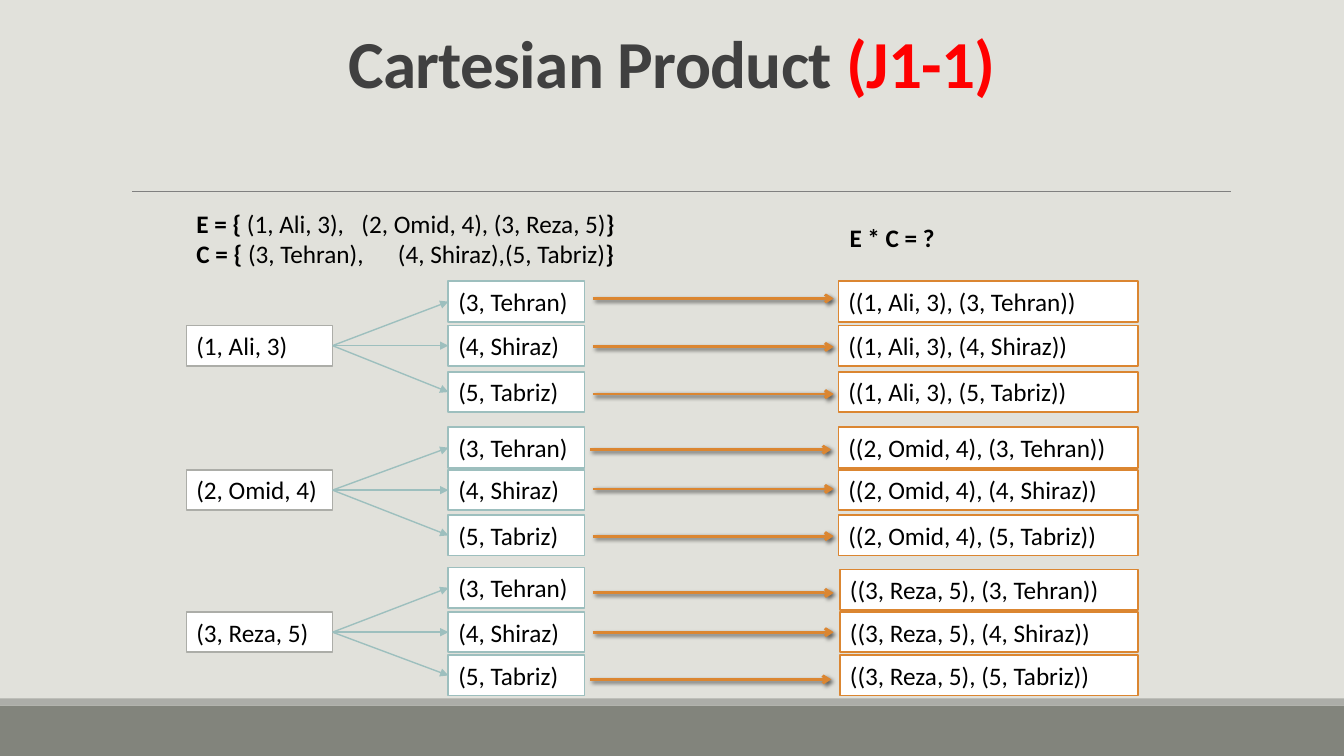
from dataclasses import dataclass

from lxml import etree
from pptx import Presentation
from pptx import util as u
from pptx.dml import color
from pptx.enum import shapes, text
from pptx.oxml import ns


@dataclass(frozen=True)
class Theme:
    """Colours, font and type sizes of the slide."""
    background: str = "E1E1DB"
    footer: str = "82847C"
    stripe: str = "ACADA8"
    rule: str = "808080"
    heading: str = "404040"
    accent: str = "FF0000"
    ink: str = "000000"
    paper: str = "FFFFFF"
    employee: str = "ACADA8"
    city: str = "9DBFBE"
    pair: str = "DB8631"
    font: str = "Calibri"
    title_size: float = 48
    body_size: float = 18


def rgb(code):
    """Turn a hex code into a colour."""
    return color.RGBColor.from_string(code)


def add_xml(parent, tag, **attributes):
    """Append a DrawingML element and return it."""
    values = {name: str(value) for name, value in attributes.items()}
    return etree.SubElement(parent, ns.qn(f"a:{tag}"), values)


def add_text(paragraph, content, *, font, size, ink, bold=False, spacing=0):
    """Add a run with its format; spacing is in points."""
    run = paragraph.add_run()
    run.text = content
    run.font.name = font
    run.font.size = u.Pt(size)
    run.font.bold = bold
    run.font.color.rgb = rgb(ink)
    if spacing:
        run._r.get_or_add_rPr().set("spc", str(int(spacing * 100)))


class SlideBuilder:
    """Draws styled elements on one slide; all lengths are centimetres."""

    def __init__(self, slide, theme):
        """Keep the slide and theme, and paint the background."""
        self.slide = slide
        self.theme = theme
        slide.background.fill.solid()
        slide.background.fill.fore_color.rgb = rgb(theme.background)

    def bar(self, left, top, width, height, fill):
        """Add a plain rectangle."""
        shape = self.slide.shapes.add_shape(
            shapes.MSO_SHAPE.RECTANGLE, *map(u.Cm, (left, top, width, height)))
        shape.shadow.inherit = False
        shape.fill.solid()
        shape.fill.fore_color.rgb = rgb(fill)
        shape.line.fill.background()
        return shape

    def box(self, left, top, width, content, border):
        """Add a white bordered box with one line of text."""
        shape = self.bar(left, top, width, BOX_HEIGHT, self.theme.paper)
        shape.line.color.rgb = rgb(border)
        shape.line.width = u.Pt(1.25)
        frame = shape.text_frame
        frame.word_wrap = True
        frame.auto_size = text.MSO_AUTO_SIZE.SHAPE_TO_FIT_TEXT
        frame.vertical_anchor = text.MSO_ANCHOR.TOP
        paragraph = frame.paragraphs[0]
        paragraph.alignment = text.PP_ALIGN.LEFT
        add_text(paragraph, content, font=self.theme.font,
                 size=self.theme.body_size, ink=self.theme.ink)

    def label(self, left, top, width, height, lines, tabs=()):
        """Add a text box; each line is a list of (text, bold) runs."""
        frame = self.slide.shapes.add_textbox(
            *map(u.Cm, (left, top, width, height))).text_frame
        frame.word_wrap = True
        frame.auto_size = text.MSO_AUTO_SIZE.SHAPE_TO_FIT_TEXT
        for index, runs in enumerate(lines):
            paragraph = frame.add_paragraph() if index else frame.paragraphs[0]
            if tabs:
                stops = add_xml(paragraph._p.get_or_add_pPr(), "tabLst")
                for stop in tabs:
                    add_xml(stops, "tab", pos=u.Cm(stop), algn="l")
            for content, bold in runs:
                add_text(paragraph, content, font=self.theme.font, bold=bold,
                         size=self.theme.body_size, ink=self.theme.ink)

    def title(self, width, height, runs):
        """Add the centred title from (text, colour) runs."""
        frame = self.slide.shapes.add_textbox(
            0, 0, u.Cm(width), u.Cm(height)).text_frame
        frame.word_wrap = True
        frame.vertical_anchor = text.MSO_ANCHOR.MIDDLE
        paragraph = frame.paragraphs[0]
        paragraph.alignment = text.PP_ALIGN.CENTER
        paragraph.line_spacing = 1.07
        paragraph.space_after = u.Pt(8)
        for content, ink in runs:
            add_text(paragraph, content, font=self.theme.font, ink=ink,
                     size=self.theme.title_size, bold=True, spacing=-0.5)

    def line(self, start, end, stroke, weight, head=None, shadow=False):
        """Add a straight line, with an arrowhead and shadow if asked."""
        connector = self.slide.shapes.add_connector(
            shapes.MSO_CONNECTOR.STRAIGHT, *map(u.Cm, (*start, *end)))
        connector.line.color.rgb = rgb(stroke)
        connector.line.width = u.Pt(weight)
        if head:
            add_xml(connector.line._get_or_add_ln(), "tailEnd", type=head)
        effects = add_xml(connector._element.spPr, "effectLst")
        if shadow:
            outer = add_xml(effects, "outerShdw", blurRad=u.Pt(3),
                            dist=u.Pt(2), dir=45 * 60000, rotWithShape=0)
            black = add_xml(outer, "srgbClr", val=self.theme.ink)
            add_xml(black, "alpha", val=60000)


WIDTH, HEIGHT = 33.87, 19.05
BOX_HEIGHT = 1.02
EMPLOYEE_LEFT, EMPLOYEE_WIDTH = 4.7, 3.68
CITY_LEFT, CITY_WIDTH = 11.3, 3.43
PAIR_RIGHT = 28.68
ARROW_LENGTH = 6.07
CITIES = ["(3, Tehran)", "(4, Shiraz)", "(5, Tabriz)"]
# Employee, left of its pairs, then (city top, pair top, arrow left, arrow y)
GROUPS = [
    ("(1, Ali, 3)", 21.13, [(7.09, 7.09, 14.94, 7.52),
                            (8.2, 8.2, 14.94, 8.74),
                            (9.37, 9.37, 14.94, 9.93)]),
    ("(2, Omid, 4)", 21.13, [(10.77, 10.77, 14.88, 11.33),
                             (11.84, 11.84, 14.94, 12.32),
                             (12.98, 12.98, 14.94, 13.51)]),
    ("(3, Reza, 5)", 21.17, [(14.3, 14.35, 14.94, 14.94),
                             (15.42, 15.42, 14.94, 15.93),
                             (16.51, 16.51, 14.88, 17.12)]),
]


def draw_group(builder, employee, pair_left, rows):
    """Draw one employee, its cities and the resulting pairs."""
    theme = builder.theme
    employee_top = rows[1][0]
    fan_start = (EMPLOYEE_LEFT + EMPLOYEE_WIDTH, employee_top + BOX_HEIGHT / 2)
    builder.box(EMPLOYEE_LEFT, employee_top, EMPLOYEE_WIDTH, employee,
                theme.employee)
    for city, (city_top, pair_top, arrow_left, arrow_y) in zip(CITIES, rows):
        builder.box(CITY_LEFT, city_top, CITY_WIDTH, city, theme.city)
        builder.box(pair_left, pair_top, PAIR_RIGHT - pair_left,
                    f"({employee}, {city})", theme.pair)
        builder.line((arrow_left, arrow_y),
                     (arrow_left + ARROW_LENGTH, arrow_y),
                     theme.pair, 2, head="arrow", shadow=True)
        builder.line(fan_start, (CITY_LEFT, city_top + BOX_HEIGHT / 2),
                     theme.city, 1, head="triangle")


def main():
    """Build and save the slide."""
    presentation = Presentation()
    presentation.slide_width = u.Cm(WIDTH)
    presentation.slide_height = u.Cm(HEIGHT)
    theme = Theme()
    slide = presentation.slides.add_slide(presentation.slide_layouts[6])
    builder = SlideBuilder(slide, theme)

    builder.bar(0, 17.78, WIDTH, 1.27, theme.footer)
    builder.bar(0, 17.6, WIDTH, 0.18, theme.stripe)
    builder.line((3.33, 4.83), (31.01, 4.83), theme.rule, 0.5)
    builder.title(WIDTH, 2.97, [("Cartesian Product ", theme.heading),
                                ("(J1-1)", theme.accent)])
    builder.label(4.7, 5.13, 16.48, 1.8, [
        [("E = {", True), (" (1, Ali, 3),\t(2, Omid, 4), (3, Reza, 5)", False),
         ("}", True)],
        [("C = { ", True), ("(3, Tehran),\t(4, Shiraz),(5, Tabriz)", False),
         ("}", True)],
    ], tabs=(4.16, 5.08))
    builder.label(21.16, 5.49, 7.49, BOX_HEIGHT, [[("E * C = ?", True)]])
    for group in GROUPS:
        draw_group(builder, *group)
    presentation.save("out.pptx")


main()
